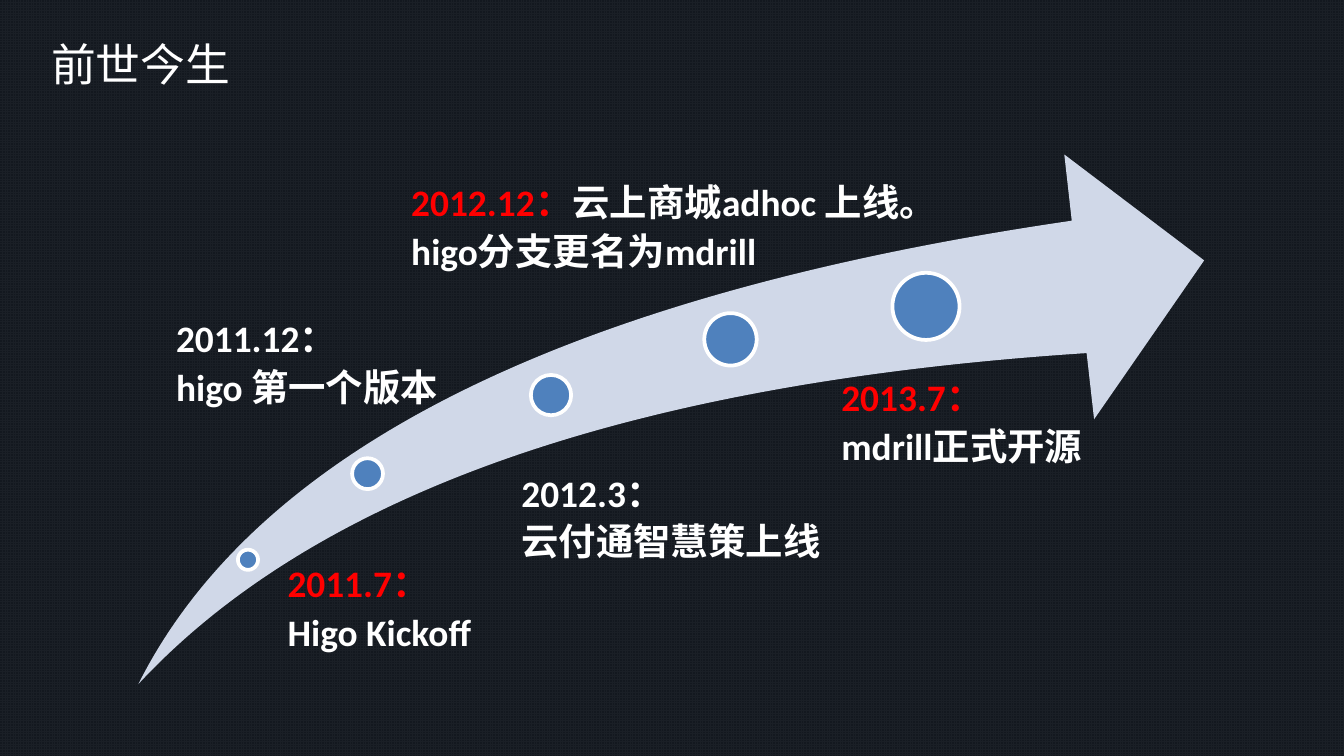
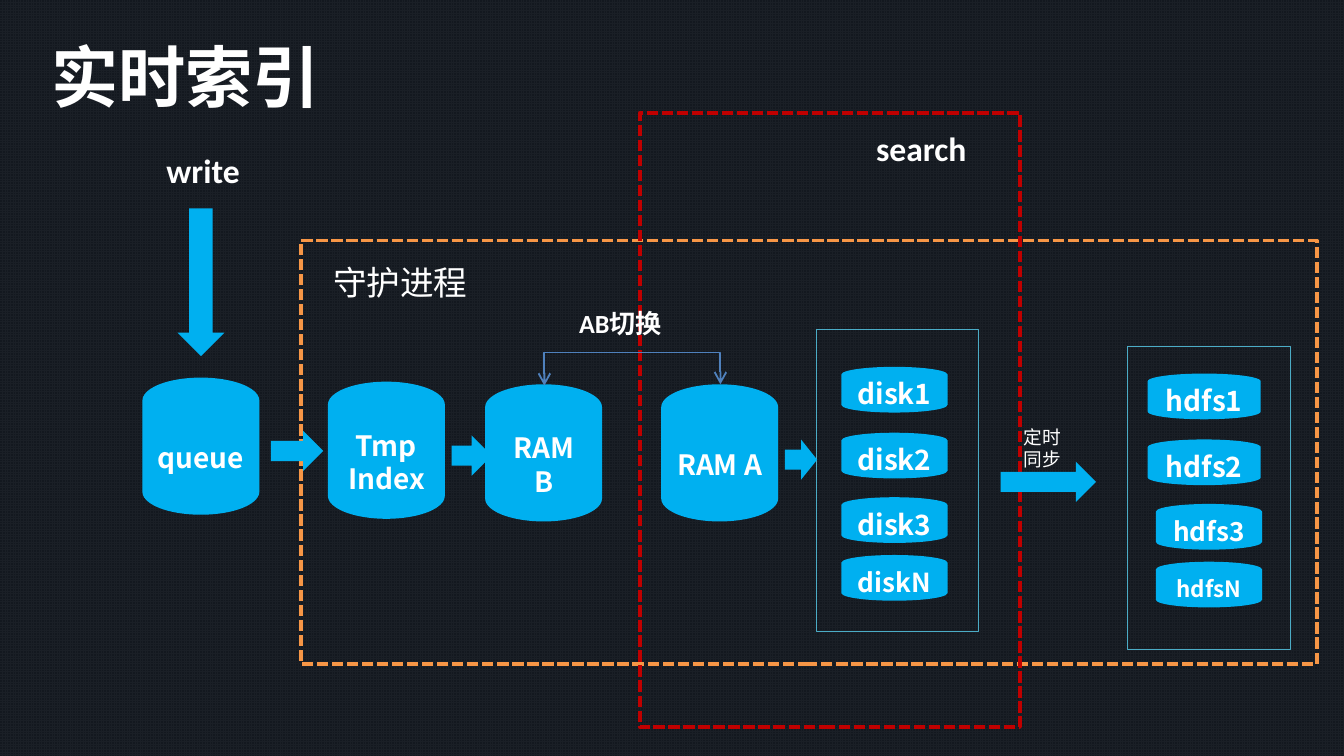
from lxml.etree import SubElement
from pptx import Presentation
from pptx.dml.color import RGBColor
from pptx.enum.dml import MSO_LINE, MSO_PATTERN
from pptx.enum.shapes import MSO_CONNECTOR, MSO_SHAPE
from pptx.enum.text import MSO_ANCHOR, MSO_AUTO_SIZE, PP_ALIGN
from pptx.oxml.ns import qn
from pptx.util import Inches, Pt

WHITE = RGBColor(0xFF, 0xFF, 0xFF)
RED = RGBColor(0xFF, 0x00, 0x00)
DARK_RED = RGBColor(0xC0, 0x00, 0x00)
ORANGE = RGBColor(0xF7, 0x96, 0x46)
TEAL = RGBColor(0x4B, 0xAC, 0xC6)
BLUE = RGBColor(0x4F, 0x81, 0xBD)
PALE_BLUE = RGBColor(0xD0, 0xD8, 0xE8)
CYAN = RGBColor(0x00, 0xB0, 0xF0)
INK = RGBColor(0x0D, 0x0D, 0x0D)
GRID_FORE = RGBColor(0x2E, 0x3B, 0x4B)
GRID_BACK = RGBColor(0x1C, 0x2A, 0x3A)
LATIN, CJK = "Calibri", "Noto Sans CJK SC"
WIDTH = 10
HEIGHT = WIDTH * 9 / 16

SWOOSH = (1.03, 1.15, 7.93, 3.94)
MILESTONES = [
    ((1.77, 4.09, 0.15), (2.06, 4.23, 1.84, 0.82), 0.08, RED, "2011.7：", ["", "Higo Kickoff"]),
    ((2.62, 3.41, 0.23), (1.19, 2.41, 2.87, 1.1), 0.12, WHITE, "2011.12：", ["", "higo 第一个版本"]),
    ((3.95, 2.79, 0.3), (3.72, 3.56, 2.54, 1.14), 0.16, WHITE, "2012.3：", ["", "云付通智慧策上线"]),
    ((5.24, 2.33, 0.39), (2.85, 1.4, 4.75, 0.78), 0.21, RED, "2012.12：",
     ["云上商城adhoc 上线。", "higo分支更名为mdrill"]),
    ((6.64, 2.03, 0.5), (6, 2.85, 2.15, 0.91), 0.26, RED, "2013.7：", ["", "mdrill正式开源"]),
]

FRAMES = [
    ((2.24, 1.79, 7.56, 3.15), ORANGE, 2, MSO_LINE.SQUARE_DOT),
    ((4.76, 0.84, 2.83, 4.57), DARK_RED, 2, MSO_LINE.SQUARE_DOT),
    ((6.07, 2.45, 1.21, 2.25), TEAL, 0.25, None),
    ((8.39, 2.58, 1.21, 2.25), TEAL, 0.25, None),
]
BUFFERS = [("queue", 1.06, 2.81), ("Tmp Index", 2.44, 2.84),
           ("RAM\nB", 3.61, 2.86), ("RAM A", 4.92, 2.86)]
STORE_ROWS = (0, 0.49, 0.97, 1.4)
STORES = [
    (2.73, [("disk1", 6.26, 0.79, 15), ("disk2", 6.26, 0.79, 15),
            ("disk3", 6.26, 0.79, 15), ("diskN", 6.26, 0.79, 14)]),
    (2.78, [("hdfs1", 8.54, 0.84, 15), ("hdfs2", 8.54, 0.84, 15),
            ("hdfs3", 8.6, 0.79, 14), ("hdfsN", 8.6, 0.79, 12)]),
]
ARROWS = [
    ((1.32, 1.55, 0.35, 1.1), 0), ((2.06, 3.16, 0.3, 0.39), 270),
    ((3.36, 3.24, 0.3, 0.3), 270), ((5.81, 3.3, 0.3, 0.24), 270),
    ((7.65, 3.23, 0.3, 0.71), 270),
]
LABELS = [
    ("write", (1.14, 1.07, 1.02, 0.4), 18, True),
    ("search", (6.42, 0.9, 1.02, 0.4), 18, True),
    ("守护进程", (2.38, 1.9, 1.21, 0.4), 18, False),
    ("AB切换", (4.21, 2.24, 0.89, 0.34), 14, True),
    ("定时同步", (7.52, 3.12, 0.55, 0.44), 10, False),
]
SWITCH_RISE = 25


def box(lengths):
    return [Inches(n) for n in lengths]


def style(p, size, name, bold):
    p.font.size = Pt(size)
    p.font.name = name
    p.font.bold = bold
    p.font.color.rgb = WHITE


def add_shape(s, kind, at, fill=None, line=None, weight=1):
    sp = s.shapes.add_shape(kind, *box(at))
    sp.shadow.inherit = False
    if fill is None:
        sp.fill.background()
    else:
        sp.fill.solid()
        sp.fill.fore_color.rgb = fill
    if line is None:
        sp.line.fill.background()
    else:
        sp.line.color.rgb = line
        sp.line.width = Pt(weight)
    return sp


def add_title(s, text, at, size, name, bold):
    title = s.shapes.title
    title.left, title.top, title.width, title.height = box(at)
    tf = title.text_frame
    tf.word_wrap = True
    tf.auto_size = MSO_AUTO_SIZE.SHAPE_TO_FIT_TEXT
    tf.vertical_anchor = MSO_ANCHOR.TOP
    p = tf.paragraphs[0]
    p.text = text
    p.alignment = PP_ALIGN.LEFT
    style(p, size, name, bold)


def add_label(s, text, at, size, bold):
    tf = s.shapes.add_textbox(*box(at)).text_frame
    tf.word_wrap = True
    tf.auto_size = MSO_AUTO_SIZE.SHAPE_TO_FIT_TEXT
    p = tf.paragraphs[0]
    p.text = text
    style(p, size, LATIN, bold)


def add_disk(s, text, at, size):
    sp = add_shape(s, MSO_SHAPE.FLOWCHART_MAGNETIC_DISK, at, CYAN)
    tf = sp.text_frame
    tf.word_wrap = True
    tf.vertical_anchor = MSO_ANCHOR.MIDDLE
    p = tf.paragraphs[0]
    p.text = text
    p.alignment = PP_ALIGN.CENTER
    style(p, size, CJK, True)


def add_milestone(s, dot, at, inset, date_color, date, lines):
    left, top, size = dot
    add_shape(s, MSO_SHAPE.OVAL, (left, top, size, size), BLUE, WHITE, 2)
    tf = s.shapes.add_textbox(*box(at)).text_frame
    tf.word_wrap = True
    tf.margin_left = Inches(inset)
    tf.margin_top = tf.margin_right = tf.margin_bottom = 0
    for i, line in enumerate(lines):
        p = tf.add_paragraph() if i else tf.paragraphs[0]
        p.line_spacing = 0.8
        p.space_after = Pt(7)
        style(p, 20, LATIN, True)
        if i == 0:
            r = p.add_run()
            r.text = date
            r.font.color.rgb = date_color
        if line:
            p.add_run().text = line


def add_switch(s):
    link = s.shapes.add_connector(MSO_CONNECTOR.ELBOW, *box((4.71, 3.52, 4.7, 2.21)))
    link.line.color.rgb = BLUE
    link.line.width = Pt(1)
    spPr = link.element.spPr
    spPr.find(qn("a:xfrm")).set("rot", "5400000")
    geom = spPr.find(qn("a:prstGeom"))
    guides = geom.find(qn("a:avLst"))
    if guides is None:
        guides = SubElement(geom, qn("a:avLst"))
    SubElement(guides, qn("a:gd"), name="adj1", fmla=f"val {SWITCH_RISE * 100000}")
    ln = spPr.find(qn("a:ln"))
    for end in ("a:headEnd", "a:tailEnd"):
        SubElement(ln, qn(end), type="arrow")
    SubElement(spPr, qn("a:effectLst"))


def set_backdrop(prs, s):
    master = prs.slide_master
    fill = master.background.fill
    fill.patterned()
    fill.pattern = MSO_PATTERN.SMALL_GRID
    fill.fore_color.rgb = GRID_FORE
    fill.back_color.rgb = GRID_BACK
    veil = add_shape(s, MSO_SHAPE.RECTANGLE, (0, 0, WIDTH, HEIGHT), INK).element
    color = veil.spPr.find(qn("a:solidFill")).find(qn("a:srgbClr"))
    SubElement(color, qn("a:alpha"), val="59000")
    veil.nvSpPr.cNvPr.set("id", "99")
    master.shapes.element.insert(2, veil)


def build_history(s):
    add_title(s, "前世今生", (0.28, 0.22, 1.55, 0.5), 24, LATIN, False)
    swoosh = add_shape(s, MSO_SHAPE.SWOOSH_ARROW, SWOOSH, PALE_BLUE)
    swoosh.adjustments[0] = swoosh.adjustments[1] = 0.25
    for milestone in MILESTONES:
        add_milestone(s, *milestone)


def build_index(s):
    add_title(s, "实时索引", (0.28, 0.21, 4.33, 0.71), 36, CJK, True)
    for at, color, weight, dash in FRAMES:
        frame = add_shape(s, MSO_SHAPE.RECTANGLE, at, None, color, weight)
        if dash:
            frame.line.dash_style = dash
    for text, left, top in BUFFERS:
        add_disk(s, text, (left, top, 0.87, 1.02), 15)
    for top, disks in STORES:
        for row, (text, left, width, size) in zip(STORE_ROWS, disks):
            add_disk(s, text, (left, top + row, width, 0.34), size)
    for at, rotation in ARROWS:
        add_shape(s, MSO_SHAPE.DOWN_ARROW, at, CYAN).rotation = rotation
    add_switch(s)
    for label in LABELS:
        add_label(s, *label)


def main():
    prs = Presentation()
    prs.slide_width, prs.slide_height = box((WIDTH, HEIGHT))
    history, index = [prs.slides.add_slide(prs.slide_layouts[5]) for _ in range(2)]
    set_backdrop(prs, history)
    build_history(history)
    build_index(index)
    prs.save("out.pptx")


if __name__ == "__main__":
    main()
